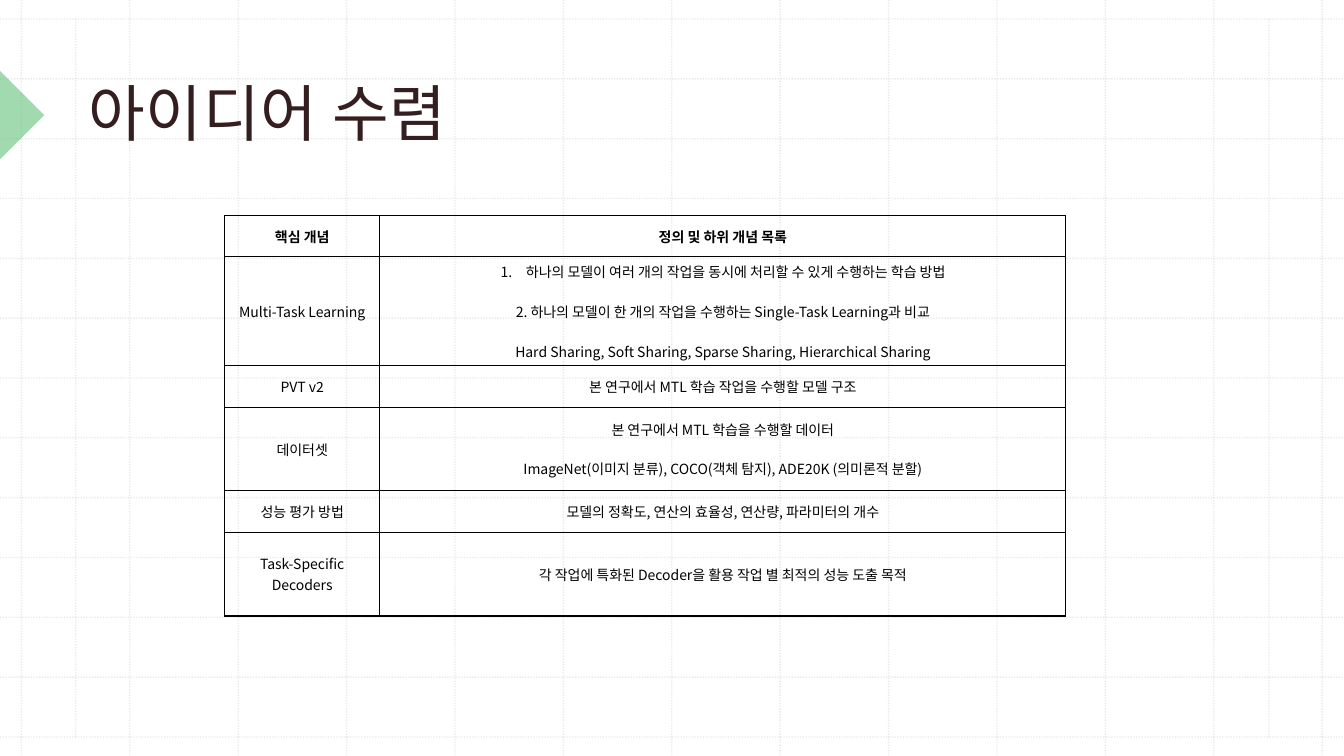
import dataclasses

import lxml.etree
import pptx
import pptx.dml.color
import pptx.enum.dml
import pptx.enum.shapes
import pptx.enum.text
import pptx.oxml.ns
import pptx.util

Cm = pptx.util.Cm
Pt = pptx.util.Pt
qn = pptx.oxml.ns.qn


@dataclasses.dataclass(frozen=True)
class Theme:
    font: str = "Noto Sans CJK KR"
    title_color: str = "351E1F"
    text_color: str = "000000"
    border_color: str = "000000"
    grid_color: str = "BCBCBC"
    marker_color: str = "47B662"
    title_size: int = 44
    table_size: int = 10
    block_gap: int = 14
    line_width: int = 1


@dataclasses.dataclass(frozen=True)
class Box:
    left: float
    top: float
    width: float
    height: float


THEME = Theme()
PAGE = Box(0, 0, 33.87, 19.05)
GRID = Box(0.54, 0.48, 32.78, 18.09)
GRID_STEPS = 12
GRID_MARGINS = (1.91, 31.98)
MARKER = Box(-0.79, 2.11, 1.58, 1.58)
TITLE = Box(1.93, 0, 28.68, 4.01)
TABLE = Box(5.66, 5.43, 21.2, 10.1)
COLUMN_WIDTHS = (3.91, 17.29)
ROW_HEIGHTS = (1.04, 2.75, 1.04, 2.11, 1.04, 2.11)
CONCEPTS = (
    ("핵심 개념", ["정의 및 하위 개념 목록"]),
    ("Multi-Task Learning", [
        "하나의 모델이 여러 개의 작업을 동시에 처리할 수 있게 수행하는 학습 방법",
        "2. 하나의 모델이 한 개의 작업을 수행하는 Single-Task Learning과 비교",
        "Hard Sharing, Soft Sharing, Sparse Sharing, Hierarchical Sharing",
    ]),
    ("PVT v2", ["본 연구에서 MTL 학습 작업을 수행할 모델 구조"]),
    ("데이터셋", [
        "본 연구에서 MTL 학습을 수행할 데이터",
        "ImageNet(이미지 분류), COCO(객체 탐지), ADE20K (의미론적 분할)",
    ]),
    ("성능 평가 방법", ["모델의 정확도, 연산의 효율성, 연산량, 파라미터의 개수"]),
    ("Task-Specific\nDecoders", ["각 작업에 특화된 Decoder을 활용 작업 별 최적의 성능 도출 목적"]),
)
NUMBERED_CELL = (1, 1)


def color(value):
    return pptx.dml.color.RGBColor.from_string(value)


def set_alpha(properties, percent):
    for node in properties.iter(qn("a:srgbClr")):
        lxml.etree.SubElement(node, qn("a:alpha"), val=str(percent * 1000))


def style_font(font, size, text_color, bold=False):
    font.name = THEME.font
    font.size = Pt(size)
    font.bold = bold
    font.color.rgb = color(text_color)


def set_east_asian_font(paragraph):
    for latin in list(paragraph._p.iter(qn("a:latin"))):
        latin.addnext(latin.makeelement(qn("a:ea"), {"typeface": THEME.font}))


def add_grid_line(slide, left, top, right, bottom):
    line = slide.shapes.add_connector(
        pptx.enum.shapes.MSO_CONNECTOR.STRAIGHT, Cm(left), Cm(top), Cm(right), Cm(bottom))
    line.line.color.rgb = color(THEME.grid_color)
    line.line.width = Pt(THEME.line_width)
    line.line.dash_style = pptx.enum.dml.MSO_LINE.ROUND_DOT
    properties = line._element.spPr
    set_alpha(properties, 30)
    lxml.etree.SubElement(properties, qn("a:effectLst"))


def add_grid(slide, page, grid):
    for step in range(GRID_STEPS + 1):
        x = grid.left + grid.width * step / GRID_STEPS
        y = grid.top + grid.height * step / GRID_STEPS
        add_grid_line(slide, x, page.top, x, page.top + page.height)
        add_grid_line(slide, page.left, y, page.left + page.width, y)
    for x in GRID_MARGINS:
        add_grid_line(slide, x, grid.top, x, grid.top + grid.height)


def add_marker(slide, box):
    marker = slide.shapes.add_shape(
        pptx.enum.shapes.MSO_SHAPE.RIGHT_TRIANGLE,
        Cm(box.left), Cm(box.top), Cm(box.width), Cm(box.height))
    marker.rotation = 225
    marker.shadow.inherit = False
    marker.fill.solid()
    marker.fill.fore_color.rgb = color(THEME.marker_color)
    set_alpha(marker._element.spPr, 50)
    marker.line.fill.background()


def add_title(slide, box, text):
    title = slide.shapes.add_textbox(Cm(box.left), Cm(box.top), Cm(box.width), Cm(box.height))
    frame = title.text_frame
    frame.word_wrap = True
    frame.vertical_anchor = pptx.enum.text.MSO_ANCHOR.BOTTOM
    frame.margin_left = frame.margin_top = frame.margin_right = Cm(0.3)
    frame.margin_bottom = Cm(0.25)
    paragraph = frame.paragraphs[0]
    paragraph.line_spacing = 1.14
    run = paragraph.add_run()
    run.text = text
    style_font(run.font, THEME.title_size, THEME.title_color)
    run._r.get_or_add_rPr().set("spc", "50")
    set_east_asian_font(paragraph)


def number_paragraph(paragraph):
    properties = paragraph._p.get_or_add_pPr()
    properties.set("marL", str(Cm(0.64)))
    properties.set("indent", str(-Cm(0.64)))
    number = properties.makeelement(qn("a:buAutoNum"), {"type": "arabicPeriod"})
    properties.find(qn("a:defRPr")).addprevious(number)


def add_borders(cell):
    properties = cell._tc.get_or_add_tcPr()
    for position, side in enumerate(("a:lnL", "a:lnR", "a:lnT", "a:lnB")):
        border = properties.makeelement(qn(side), {"w": str(Pt(THEME.line_width))})
        fill = lxml.etree.SubElement(border, qn("a:solidFill"))
        lxml.etree.SubElement(fill, qn("a:srgbClr"), val=THEME.border_color)
        properties.insert(position, border)


def fill_cell(cell, blocks, bold, gap):
    cell.fill.background()
    add_borders(cell)
    cell.vertical_anchor = pptx.enum.text.MSO_ANCHOR.MIDDLE
    cell.margin_left = cell.margin_right = Cm(0.18)
    cell.margin_top = cell.margin_bottom = 0
    cell.text_frame.text = "\n".join(blocks)
    for index, paragraph in enumerate(cell.text_frame.paragraphs):
        paragraph.alignment = pptx.enum.text.PP_ALIGN.CENTER
        if index:
            paragraph.space_before = Pt(gap)
        style_font(paragraph.font, THEME.table_size, THEME.text_color, bold)
        set_east_asian_font(paragraph)


def add_concept_table(slide, box, concepts):
    table = slide.shapes.add_table(
        len(concepts), len(COLUMN_WIDTHS),
        Cm(box.left), Cm(box.top), Cm(box.width), Cm(box.height)).table
    table.first_row = False
    table.horz_banding = False
    for column, width in zip(table.columns, COLUMN_WIDTHS):
        column.width = Cm(width)
    for index, (concept, definitions) in enumerate(concepts):
        table.rows[index].height = Cm(ROW_HEIGHTS[index])
        is_header = index == 0
        fill_cell(table.cell(index, 0), concept.split("\n"), is_header, 0)
        fill_cell(table.cell(index, 1), definitions, is_header, THEME.block_gap)
    number_paragraph(table.cell(*NUMBERED_CELL).text_frame.paragraphs[0])


def main():
    presentation = pptx.Presentation()
    presentation.slide_width = Cm(PAGE.width)
    presentation.slide_height = Cm(PAGE.height)
    slide = presentation.slides.add_slide(presentation.slide_layouts[6])
    add_grid(slide, PAGE, GRID)
    add_marker(slide, MARKER)
    add_title(slide, TITLE, "아이디어 수렴")
    add_concept_table(slide, TABLE, CONCEPTS)
    presentation.save("out.pptx")


if __name__ == "__main__":
    main()
